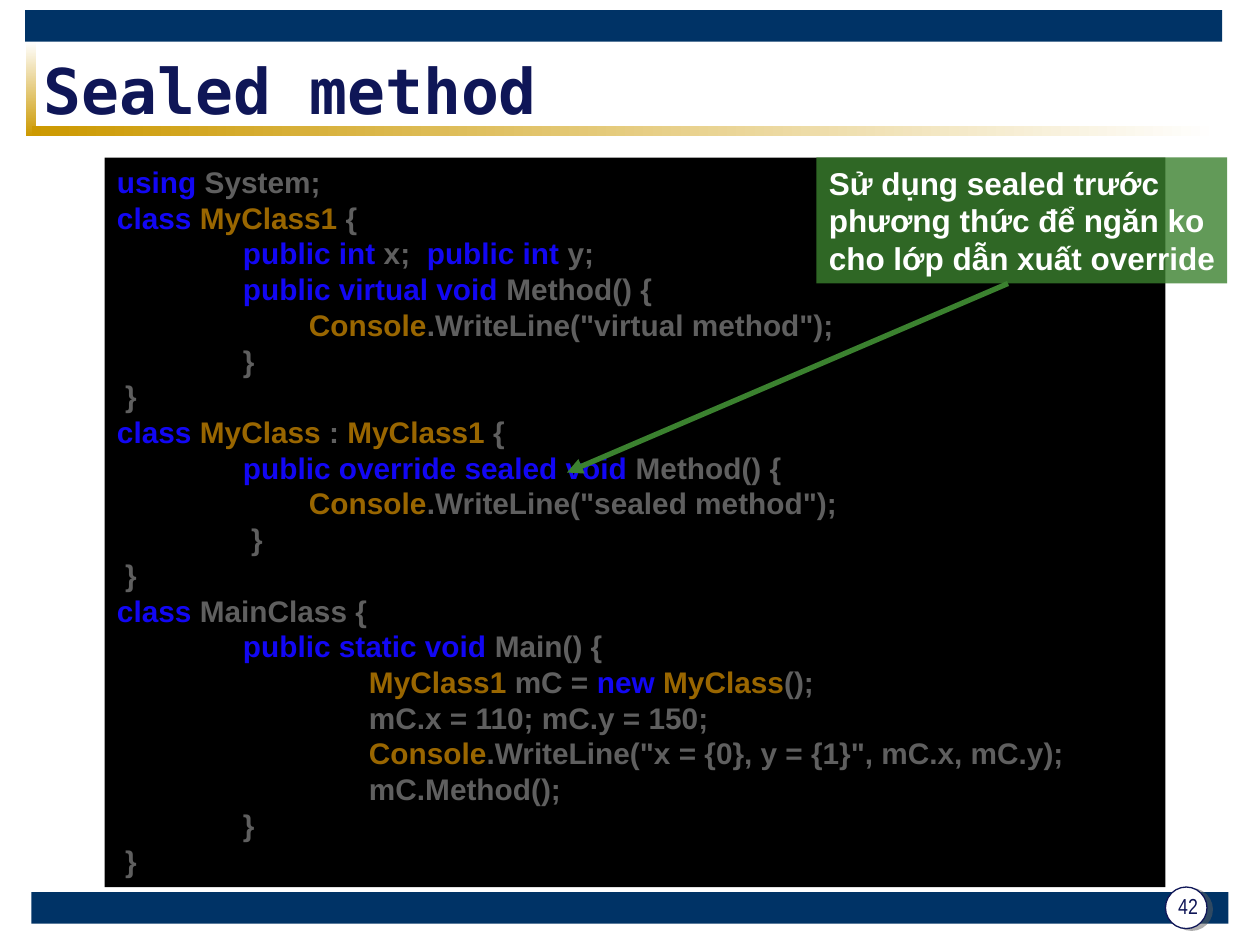
from dataclasses import dataclass

from lxml import etree
from pptx import Presentation
from pptx.dml.color import RGBColor
from pptx.enum.shapes import MSO_CONNECTOR, MSO_SHAPE
from pptx.enum.text import MSO_ANCHOR, PP_ALIGN
from pptx.oxml.ns import qn
from pptx.util import Inches, Pt

RECT, OVAL = MSO_SHAPE.RECTANGLE, MSO_SHAPE.OVAL
STRAIGHT = MSO_CONNECTOR.STRAIGHT
TOP, MIDDLE = MSO_ANCHOR.TOP, MSO_ANCHOR.MIDDLE
LEFT, CENTER = PP_ALIGN.LEFT, PP_ALIGN.CENTER


@dataclass(frozen=True)
class Theme:
    bar: str = "003366"
    gold: str = "CC9900"
    white: str = "FFFFFF"
    ink: str = "0F1657"
    panel: str = "000000"
    plain: str = "5F5F5F"
    keyword: str = "1207F3"
    type_name: str = "996600"
    accent: str = "3B812F"
    body_font: str = "Arial"
    title_font: str = "DejaVu Sans Mono"
    number_font: str = "Arial Narrow"
    title_size: float = 36
    code_size: float = 17
    note_size: float = 18
    number_size: float = 12.4


THEME = Theme()
PLAIN, KEY, TYPE = THEME.plain, THEME.keyword, THEME.type_name

# Each line of code is a list of (colour, text) pieces
CODE = [
    [(KEY, "using"), (PLAIN, " System;")],
    [(KEY, "class "), (TYPE, "MyClass1"), (PLAIN, " {")],
    [(KEY, "\tpublic int"), (PLAIN, " x;  "), (KEY, "public int"), (PLAIN, " y;")],
    [(KEY, "\tpublic virtual void"), (PLAIN, " Method() {")],
    [(TYPE, "\t        Console"), (PLAIN, '.WriteLine("virtual method");')],
    [(PLAIN, "\t}")],
    [(PLAIN, " }")],
    [(KEY, "class "), (TYPE, "MyClass"), (PLAIN, " : "), (TYPE, "MyClass1"), (PLAIN, " {")],
    [(KEY, "\tpublic override sealed void"), (PLAIN, " Method() {")],
    [(TYPE, "\t        Console"), (PLAIN, '.WriteLine("sealed method");')],
    [(PLAIN, "\t }")],
    [(PLAIN, " }")],
    [(KEY, "class"), (PLAIN, " MainClass {")],
    [(KEY, "\tpublic static void"), (PLAIN, " Main() {")],
    [(TYPE, "\t\tMyClass1"), (PLAIN, " mC = "), (KEY, "new "), (TYPE, "MyClass"), (PLAIN, "();")],
    [(PLAIN, "\t\tmC.x = 110; mC.y = 150;")],
    [(TYPE, "\t\tConsole"), (PLAIN, '.WriteLine("x = {0}, y = {1}", mC.x, mC.y);')],
    [(PLAIN, "\t\tmC.Method();")],
    [(PLAIN, "\t}")],
    [(PLAIN, " }")],
]
NOTE = ["Sử dụng sealed trước", "phương thức để ngăn ko", "cho lớp dẫn xuất override"]


def rgb(color):
    return RGBColor.from_string(color)


def add_block(slide, box, color, kind=RECT):
    block = slide.shapes.add_shape(kind, *map(Inches, box))
    block.shadow.inherit = False
    block.fill.solid()
    block.fill.fore_color.rgb = rgb(color)
    block.line.fill.background()
    return block


def add_fade(slide, box, colors, angle):
    fade = add_block(slide, box, THEME.white)
    fade.fill.gradient()
    fade.fill.gradient_angle = angle
    for stop, color in zip(fade.fill.gradient_stops, colors):
        stop.color.rgb = rgb(color)


def set_tabs(line, stops):
    tabs = etree.SubElement(line._p.get_or_add_pPr(), qn("a:tabLst"))
    for stop in stops:
        etree.SubElement(tabs, qn("a:tab"), pos=str(Inches(stop)), algn="l")


def write_lines(frame, lines, font, size, bold=True, anchor=TOP, align=LEFT, wrap=True):
    frame.word_wrap = wrap
    frame.vertical_anchor = anchor
    for index, pieces in enumerate(lines):
        line = frame.paragraphs[0] if index == 0 else frame.add_paragraph()
        line.alignment = align
        for color, text in pieces:
            run = line.add_run()
            run.text = text
            run.font.name, run.font.size, run.font.bold = font, Pt(size), bold
            run.font.color.rgb = rgb(color)


def add_frame(slide):
    """Bars at top and bottom, and the gold corner under the title."""
    add_block(slide, (0.25, 7.08, 9.5, 0.25), THEME.bar)
    add_block(slide, (0.2, 0.08, 9.5, 0.25), THEME.bar)
    add_fade(slide, (0.21, 0.33, 0.08, 0.75), (THEME.white, THEME.gold), 270)
    add_fade(slide, (0.25, 1, 9.42, 0.08), (THEME.gold, THEME.white), 0)


def add_page_number(slide, box, number):
    left, top, width, height = box
    disc = add_block(slide, (left + 0.04, top + 0.01, 0.33, 0.33), THEME.white, OVAL)
    disc.line.color.rgb = rgb(THEME.ink)
    disc.line.width = Pt(0.75)
    effects = disc._element.spPr.find(qn("a:effectLst"))
    shadow = etree.SubElement(effects, qn("a:outerShdw"), blurRad="0",
                              dist=str(Pt(3.2)), dir=str(18 * 60000))
    tint = etree.SubElement(shadow, qn("a:srgbClr"), val=THEME.plain)
    etree.SubElement(tint, qn("a:alpha"), val="50000")
    label = slide.shapes.add_textbox(*map(Inches, box)).text_frame
    write_lines(label, [[(THEME.ink, number)]], THEME.number_font, THEME.number_size,
                bold=False, anchor=MIDDLE, align=CENTER)
    label.paragraphs[0].line_spacing = 0.8


def add_title(slide, box, text):
    title = slide.shapes.add_textbox(*map(Inches, box)).text_frame
    write_lines(title, [[(THEME.ink, text)]], THEME.title_font, THEME.title_size,
                anchor=MIDDLE)


def add_code(slide, box):
    """Dark panel of code, indented by one inch for each level."""
    panel = add_block(slide, box, THEME.panel)
    write_lines(panel.text_frame, CODE, THEME.body_font, THEME.code_size)
    for line in panel.text_frame.paragraphs:
        set_tabs(line, (1, 2))


def add_note(slide, box, target):
    """Translucent note with an arrow to the code it explains."""
    left, top, width, height = box
    note = add_block(slide, box, THEME.accent)
    tint = note._element.spPr.find(qn("a:solidFill"))[0]
    etree.SubElement(tint, qn("a:alpha"), val="80000")
    write_lines(note.text_frame, [[(THEME.white, text)] for text in NOTE],
                THEME.body_font, THEME.note_size, wrap=False)

    start = (left + 1.52, top + height)
    arrow = slide.shapes.add_connector(STRAIGHT, *map(Inches, start + target))
    arrow.line.color.rgb = rgb(THEME.accent)
    arrow.line.width = Pt(3)
    etree.SubElement(arrow.line._get_or_add_ln(), qn("a:tailEnd"), type="triangle")
    etree.SubElement(arrow._element.spPr, qn("a:effectLst"))


def main():
    deck = Presentation()
    deck.slide_width, deck.slide_height = Inches(10), Inches(7.5)
    slide = deck.slides.add_slide(deck.slide_layouts[6])
    add_frame(slide)
    add_title(slide, (0.25, 0.42, 9, 0.58), "Sealed method")
    add_page_number(slide, (9.21, 7.03, 0.44, 0.36), "42")
    add_code(slide, (0.83, 1.25, 8.42, 5.79))
    add_note(slide, (6.48, 1.25, 3.26, 1), target=(4.5, 3.75))
    deck.save("out.pptx")


if __name__ == "__main__":
    main()
